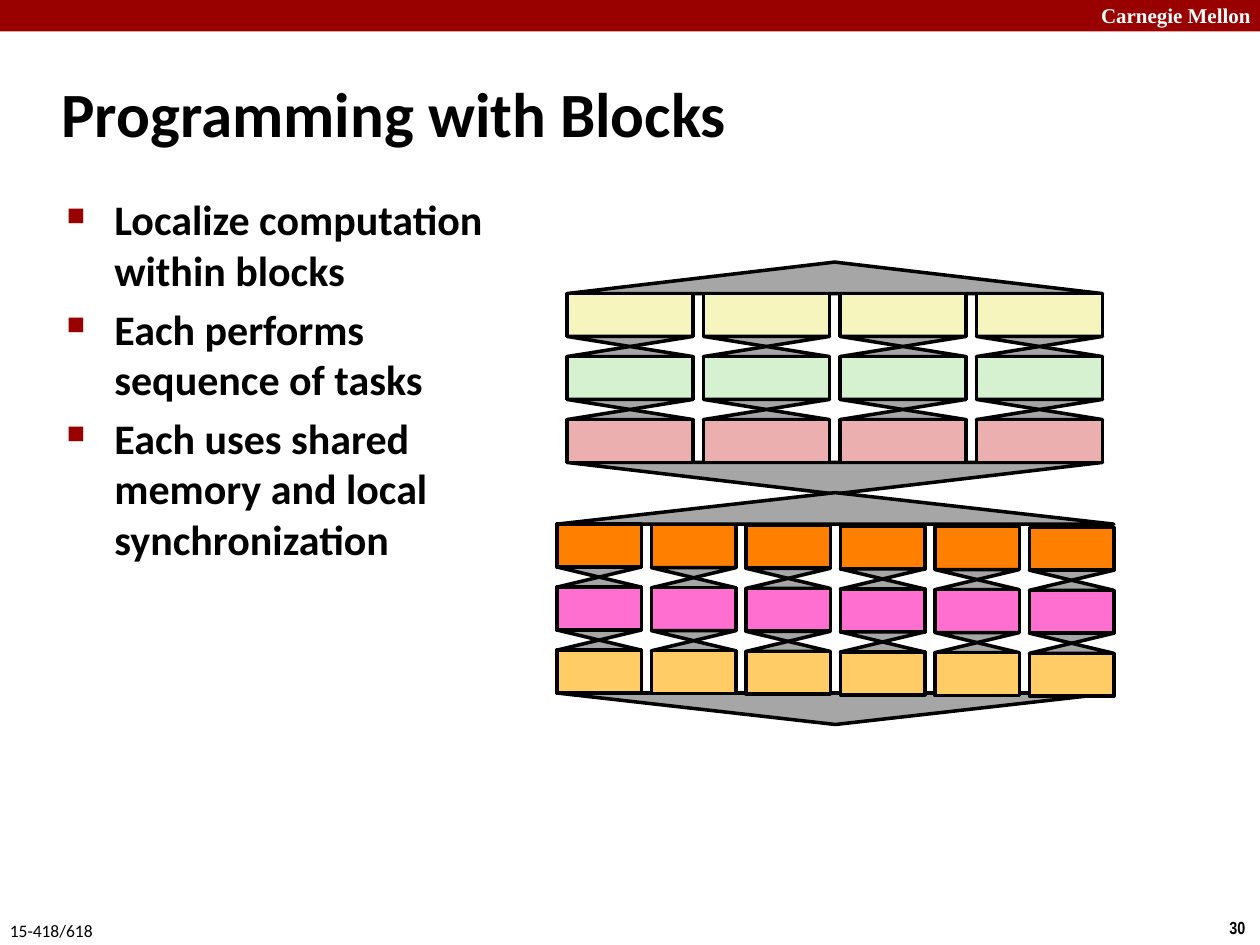
"""Build the slide on programming with blocks of computation."""
from dataclasses import dataclass

import lxml.etree
import pptx
import pptx.dml.color
import pptx.enum.shapes
import pptx.enum.text
import pptx.oxml.ns
import pptx.util
from pptx.util import Inches

COLORS = {
    "black": "000000", "white": "FFFFFF", "crimson": "990000", "gray": "A6A6A6",
    "cream": "F6F5BD", "mint": "D5F1CF", "rose": "EBAFAF",
    "orange": "FF8000", "pink": "FF6FCF", "amber": "FFCC66",
}
SHAPES = pptx.enum.shapes.MSO_SHAPE
AUTO_SIZE = pptx.enum.text.MSO_AUTO_SIZE
ANCHOR = pptx.enum.text.MSO_ANCHOR
TASK_HEIGHT = 0.34
FAN_HEIGHT = 0.08
CAP_HEIGHT = 0.25
TASK_PITCH = 0.5
BULLETS = [
    "Localize computation within blocks",
    "Each performs sequence of tasks",
    "Each uses shared memory and local synchronization",
]


@dataclass(frozen=True)
class Area:
    left: float
    top: float
    width: float
    height: float


@dataclass(frozen=True)
class Label:
    area: Area
    lines: list[str]
    size: int
    font: str = "Calibri"
    color: str = "black"
    bold: bool = True
    wrap: bool = True
    grow: bool = False
    middle: bool = False
    indent: float = 0
    bulleted: bool = False


@dataclass(frozen=True)
class Stage:
    area: Area
    block_count: int
    block_width: float
    task_colors: list[str]
    drift: float = 0
    grouped: bool = False


LABELS = [
    Label(Area(8.64, -0.03, 1.43, 0.3), ["Carnegie Mellon"], 12,
          font="Times New Roman", color="white", grow=True),
    Label(Area(9.66, 7.23, 0.34, 0.27), ["30"], 10,
          font="Arial Narrow", wrap=False, grow=True),
    Label(Area(-0.02, 7.25, 0.87, 0.27), ["15-418/618"], 10,
          bold=False, wrap=False, grow=True),
    Label(Area(0.39, 0.48, 8.3, 0.83), ["Programming with Blocks"], 36,
          middle=True, indent=0.13),
    Label(Area(0.43, 1.49, 3.57, 5.44), BULLETS, 24, indent=0.38, bulleted=True),
]
STAGES = [
    Stage(Area(4.5, 2.33, 4.25, 1.34), 4, 1, ["cream", "mint", "rose"]),
    Stage(Area(4.42, 4.16, 4.42, 1.34), 6, 0.67, ["orange", "pink", "amber"],
          drift=0.005, grouped=True),
]


def rgb(color: str) -> pptx.dml.color.RGBColor:
    """Return the named colour."""
    return pptx.dml.color.RGBColor.from_string(COLORS[color])


def add_bullet(para) -> None:
    """Give a paragraph a small square bullet."""
    properties = para._p.get_or_add_pPr()
    namespace = pptx.oxml.ns.qn
    color = lxml.etree.SubElement(properties, namespace("a:buClr"))
    lxml.etree.SubElement(color, namespace("a:srgbClr"), val=COLORS["crimson"])
    lxml.etree.SubElement(properties, namespace("a:buSzPct"), val="60000")
    lxml.etree.SubElement(properties, namespace("a:buChar"), char="■")


def draw_label(page, label: Label) -> None:
    """Draw one text box, with a paragraph for each line."""
    area = label.area
    box = page.shapes.add_textbox(
        Inches(area.left), Inches(area.top), Inches(area.width), Inches(area.height))
    frame = box.text_frame
    frame.text = "\n".join(label.lines)
    frame.word_wrap = label.wrap
    frame.auto_size = AUTO_SIZE.SHAPE_TO_FIT_TEXT if label.grow else AUTO_SIZE.NONE
    frame.vertical_anchor = ANCHOR.MIDDLE if label.middle else ANCHOR.TOP
    for index, para in enumerate(frame.paragraphs):
        if label.indent:
            properties = para._p.get_or_add_pPr()
            properties.set("marL", str(Inches(label.indent)))
            properties.set("indent", str(-Inches(label.indent)))
        if label.bulleted:
            add_bullet(para)
        if index:
            para.space_before = pptx.util.Pt(0.2 * label.size)
        for span in para.runs:
            span.font.name = label.font
            span.font.size = pptx.util.Pt(label.size)
            span.font.bold = label.bold
            span.font.color.rgb = rgb(label.color)


def draw_shape(shapes, kind: SHAPES, area: Area, color: str,
               outlined: bool = True, inverted: bool = False) -> None:
    """Draw one filled shape, pointing down when inverted."""
    shape = shapes.add_shape(
        kind, Inches(area.left), Inches(area.top), Inches(area.width), Inches(area.height))
    shape.shadow.inherit = False
    shape.fill.solid()
    shape.fill.fore_color.rgb = rgb(color)
    if outlined:
        shape.line.color.rgb = rgb("black")
        shape.line.width = pptx.util.Pt(2)
    else:
        shape.line.fill.background()
    if inverted:
        shape.rotation = 180


def draw_block(shapes, left: float, top: float, width: float, colors: list[str]) -> None:
    """Draw a column of tasks joined by facing triangles."""
    for index, color in enumerate(colors):
        task_top = top + index * TASK_PITCH
        if index:
            split = task_top - FAN_HEIGHT
            join = task_top - TASK_PITCH + TASK_HEIGHT
            draw_shape(shapes, SHAPES.ISOSCELES_TRIANGLE,
                       Area(left, join, width, FAN_HEIGHT), "gray", inverted=True)
            draw_shape(shapes, SHAPES.ISOSCELES_TRIANGLE,
                       Area(left, split, width, FAN_HEIGHT), "gray")
        draw_shape(shapes, SHAPES.RECTANGLE,
                   Area(left, task_top, width, TASK_HEIGHT), color)


def draw_stage(page, stage: Stage) -> None:
    """Draw a row of blocks between a launching and a closing triangle."""
    area = stage.area
    for top, inverted in ((area.top - CAP_HEIGHT, False), (area.top + area.height, True)):
        draw_shape(page.shapes, SHAPES.ISOSCELES_TRIANGLE,
                   Area(area.left, top, area.width, CAP_HEIGHT), "gray", inverted=inverted)
    pitch = (area.width - stage.block_width) / (stage.block_count - 1)
    for index in range(stage.block_count):
        shapes = page.shapes.add_group_shape().shapes if stage.grouped else page.shapes
        draw_block(shapes, area.left + index * pitch, area.top + index * stage.drift,
                   stage.block_width, stage.task_colors)


def main() -> None:
    """Build and save the deck."""
    deck = pptx.Presentation()
    deck.slide_width, deck.slide_height = Inches(10), Inches(7.5)
    page = deck.slides.add_slide(deck.slide_layouts[6])
    draw_shape(page.shapes, SHAPES.RECTANGLE, Area(0, 0, 10, 0.25), "crimson", outlined=False)
    for label in LABELS:
        draw_label(page, label)
    for stage in STAGES:
        draw_stage(page, stage)
    deck.save("out.pptx")


if __name__ == "__main__":
    main()
